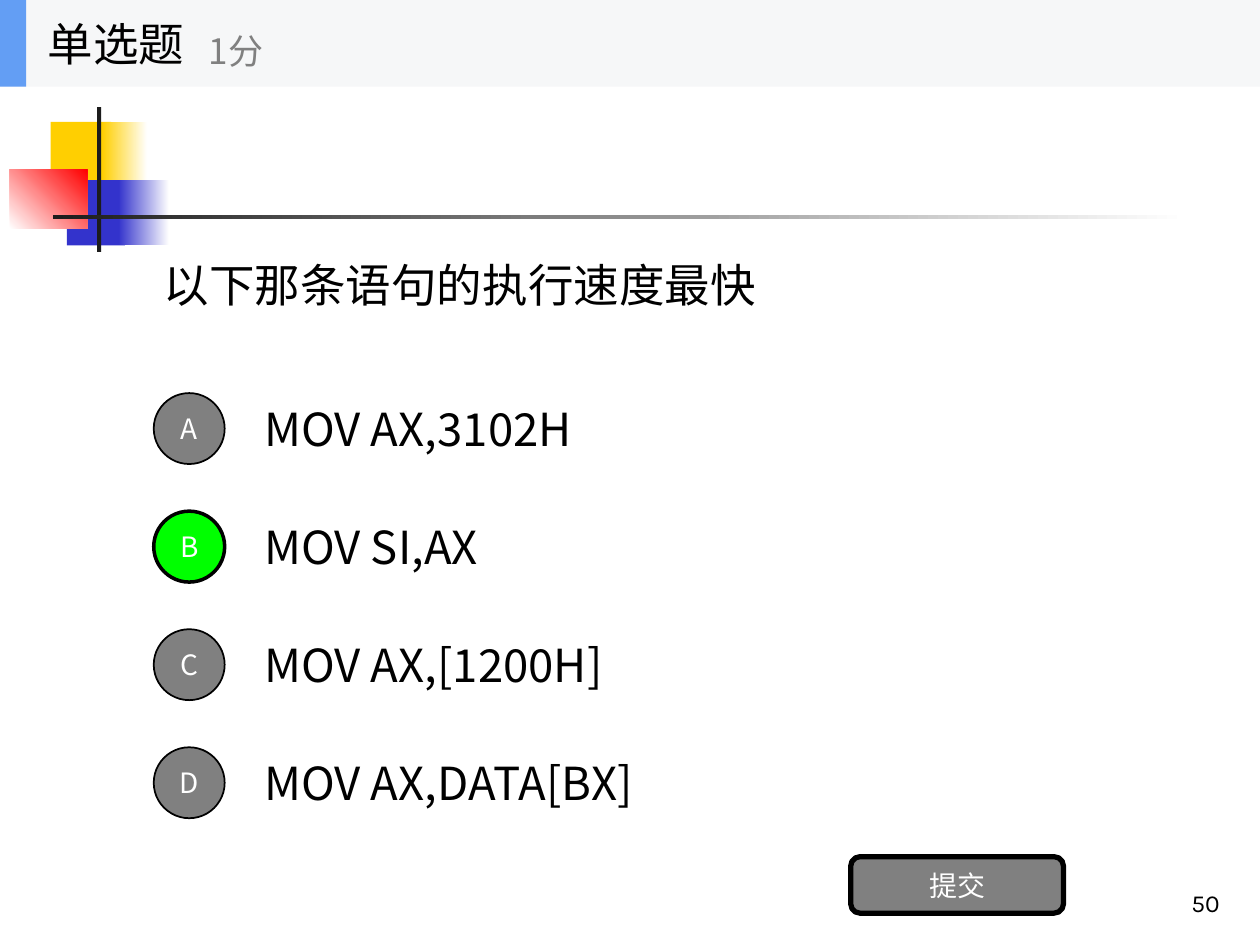
import pptx
import pptx.util
from lxml import etree
from pptx.dml.color import RGBColor
from pptx.enum.shapes import MSO_SHAPE
from pptx.enum.text import MSO_ANCHOR, PP_ALIGN
from pptx.oxml.ns import qn
from pptx.util import Cm, Pt

CJK = "Noto Sans CJK SC"
BLACK, WHITE, GREY, GREEN = "000000", "FFFFFF", "808080", "00FF00"

QUESTION = "以下那条语句的执行速度最快"
OPTIONS = [
    ("A", "MOV AX,3102H"),
    ("B", "MOV SI,AX"),
    ("C", "MOV AX,[1200H]"),
    ("D", "MOV AX,DATA[BX]"),
]
ANSWER = "B"

# box in cm (left, top, width, height), colours, angle of the gradient
ORNAMENT = [
    ((1.02, 2.46, 1.22, 1.32), ["FFCF01"], 0),
    ((2.06, 2.46, 0.91, 1.32), ["FFCF01", WHITE], 0),
    ((1.35, 3.63, 1.17, 1.32), ["3333CC"], 0),
    ((2.39, 3.63, 1.02, 1.32), ["3333CC", WHITE], 0),
    ((0.2, 3.42, 1.56, 1.19), [WHITE, "FF0000"], 45),
    ((1.96, 2.16, 0.08, 2.92), ["1C1C1C"], 0),
    ((1.07, 4.34, 22.86, 0.08), ["1C1C1C", WHITE], 0),
]

OPTION_TOP, OPTION_PITCH, OPTION_HEIGHT = 7.75, 2.38, 1.78
CIRCLE = 1.43


def rgb(color):
    return RGBColor.from_string(color)


def cm(box):
    return [Cm(v) for v in box]


def write(sp, text, size, color=BLACK, align=PP_ALIGN.LEFT,
          anchor=MSO_ANCHOR.MIDDLE, font=CJK):
    tf = sp.text_frame
    tf.word_wrap = True
    tf.vertical_anchor = anchor
    p = tf.paragraphs[0]
    p.text = text
    p.alignment = align
    p.font.size = Pt(size)
    p.font.name = font
    p.font.color.rgb = rgb(color)
    # Chinese characters take their font from a:ea, which follows a:latin
    latin = p.font._element.find(qn("a:latin"))
    ea = etree.Element(qn("a:ea"), typeface=font)
    latin.addnext(ea)


def add_text(shapes, box, text, size, **style):
    write(shapes.add_textbox(*cm(box)), text, size, **style)


def add_shape(shapes, kind, box, colors, angle=0, line=0):
    """Add a shape with a plain fill, or a gradient when two colours are given."""
    sp = shapes.add_shape(kind, *cm(box))
    sp.shadow.inherit = False
    if len(colors) == 1:
        sp.fill.solid()
        sp.fill.fore_color.rgb = rgb(colors[0])
    else:
        sp.fill.gradient()
        sp.fill.gradient_angle = angle
        for stop, color in zip(sp.fill.gradient_stops, colors):
            stop.color.rgb = rgb(color)
    if line:
        sp.line.color.rgb = rgb(BLACK)
        sp.line.width = Pt(line)
    else:
        sp.line.fill.background()
    return sp


prs = pptx.Presentation()
prs.slide_width, prs.slide_height = Cm(25.4), Cm(19.05)
s = prs.slides.add_slide(prs.slide_layouts[5])

for box, colors, angle in ORNAMENT:
    add_shape(s.shapes, MSO_SHAPE.RECTANGLE, box, colors, angle)

title = s.shapes.title
title.left, title.top, title.width, title.height = cm((3.05, 2.77, 20.32, 5.94))
write(title, QUESTION, 26)

for i, (letter, code) in enumerate(OPTIONS):
    top = OPTION_TOP + i * OPTION_PITCH
    add_text(s.shapes, (5.08, top, 17.78, OPTION_HEIGHT), code, 26)
    right = letter == ANSWER
    circle = add_shape(
        s.shapes, MSO_SHAPE.OVAL,
        (3.1, top + (OPTION_HEIGHT - CIRCLE) / 2, CIRCLE, CIRCLE),
        [GREEN if right else GREY], line=2 if right else 1)
    write(circle, letter, 16, WHITE, PP_ALIGN.CENTER)

button = add_shape(s.shapes, MSO_SHAPE.ROUNDED_RECTANGLE,
                   (17.15, 17.27, 4.29, 1.14), [GREY], line=3)
write(button, "提交", 16, WHITE, PP_ALIGN.CENTER)

header = s.shapes.add_group_shape().shapes
add_shape(header, MSO_SHAPE.RECTANGLE, (0, 0, 25.4, 1.75), ["F6F7F8"])
add_shape(header, MSO_SHAPE.RECTANGLE, (0, 0, 0.53, 1.75), ["639EF4"])
add_text(header, (0.71, 0, 5.28, 1.75), "单选题", 26)
add_text(header, (3.96, 0.3, 6.35, 1.42), "1分", 20, color=GREY)

add_text(s.shapes, (19.56, 17.35, 5.28, 1.27), "50", 14, font="Karla",
         align=PP_ALIGN.RIGHT, anchor=MSO_ANCHOR.BOTTOM)

prs.save("out.pptx")
